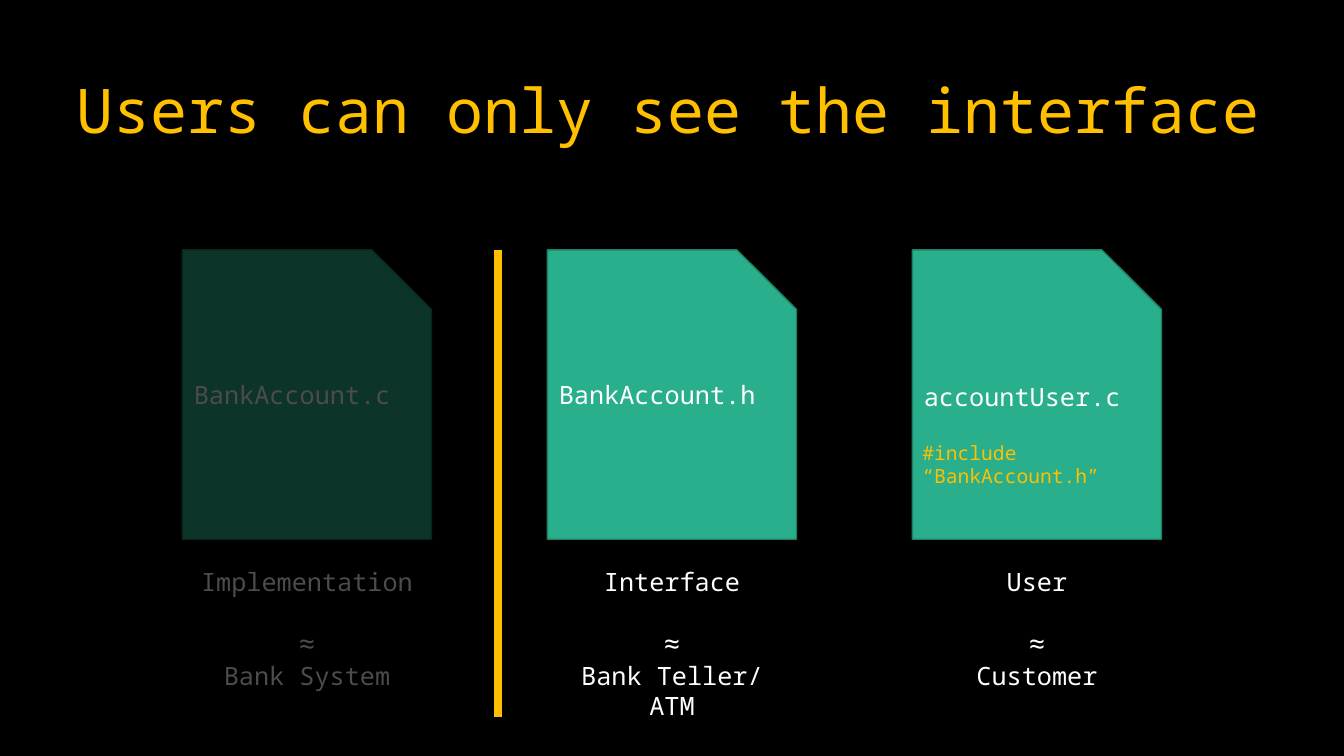
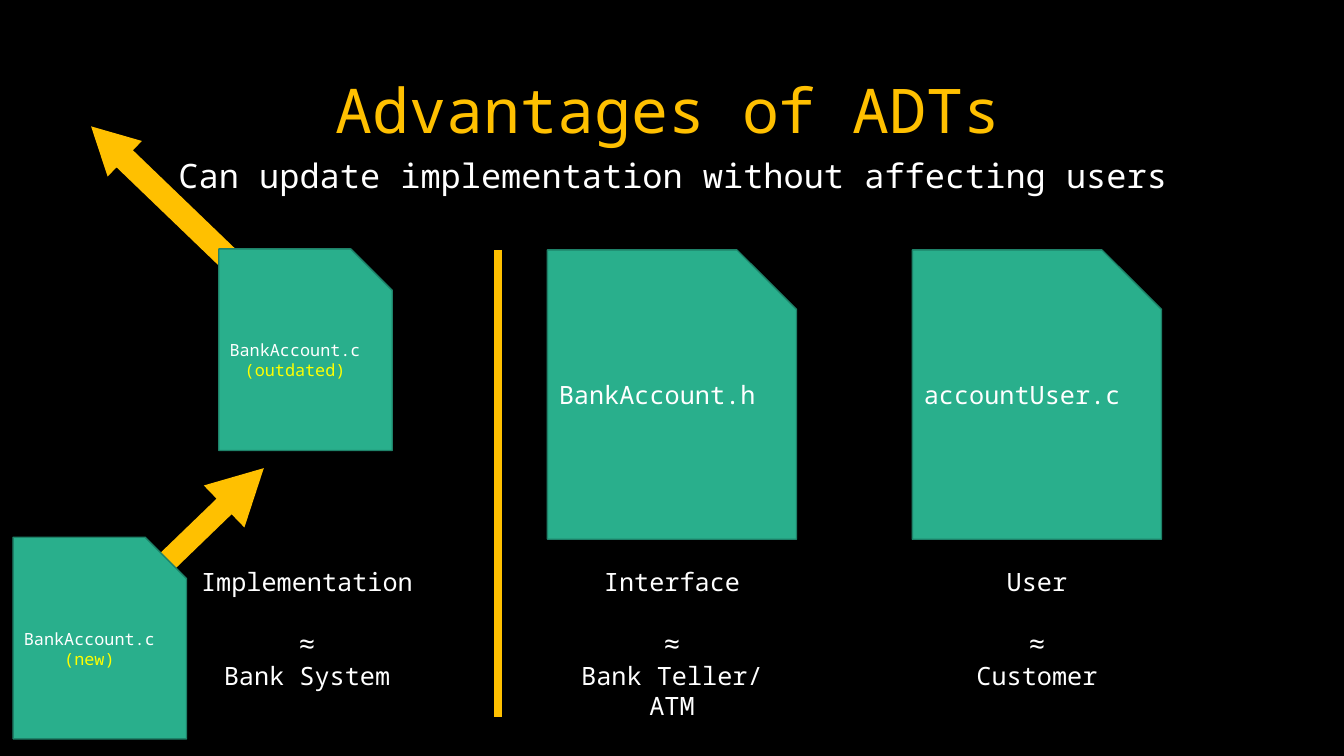
"""Build two slides on separating an interface from its implementation."""
from dataclasses import dataclass

from lxml import etree
from pptx import Presentation
from pptx.dml.color import RGBColor
from pptx.enum.shapes import MSO_CONNECTOR, MSO_SHAPE
from pptx.enum.text import MSO_ANCHOR, MSO_AUTO_SIZE, PP_ALIGN
from pptx.oxml.ns import qn
from pptx.util import Inches, Pt

LEFT, CENTER = PP_ALIGN.LEFT, PP_ALIGN.CENTER
TOP, MIDDLE = MSO_ANCHOR.TOP, MSO_ANCHOR.MIDDLE
FIXED = MSO_AUTO_SIZE.NONE
FILE, ARROW, RECTANGLE = MSO_SHAPE.SNIP_1_RECTANGLE, MSO_SHAPE.RIGHT_ARROW, MSO_SHAPE.RECTANGLE
STRAIGHT = MSO_CONNECTOR.STRAIGHT


@dataclass(frozen=True)
class Theme:
    font: str = "Noto Sans Mono"
    black: RGBColor = RGBColor(0, 0, 0)
    white: RGBColor = RGBColor(255, 255, 255)
    amber: RGBColor = RGBColor.from_string("FFC000")
    yellow: RGBColor = RGBColor.from_string("FFFF00")
    green: RGBColor = RGBColor.from_string("29AF8C")
    edge: RGBColor = RGBColor.from_string("1E8168")
    title: Pt = Pt(44)
    subtitle: Pt = Pt(24)
    sign: Pt = Pt(20)
    label: Pt = Pt(18)
    code: Pt = Pt(14)
    small: Pt = Pt(12)


theme = Theme()
COLUMN, GAP, MARGIN = 2.47, 1.15, 1.81
FILE_TOP, FILE_HEIGHT = 2.48, 2.87
SMALL_WIDTH, SMALL_HEIGHT = 1.72, 2
LABEL_TOP, MEANING_TOP = 5.57, 6.17
WALL_BOTTOM = 7.11
lefts = [MARGIN + index * (COLUMN + GAP) for index in range(3)]
wall_left = lefts[1] - 0.49


def write(box, lines, anchor=TOP, **insets):
    """Fill a shape with (text, size, colour, paragraph format) lines."""
    frame = box.text_frame
    settings = {"word_wrap": True, "auto_size": FIXED, "vertical_anchor": anchor, **insets}
    for name, value in settings.items():
        setattr(frame, name, value)
    for index, (text, size, color, layout) in enumerate(lines):
        para = frame.paragraphs[0] if index == 0 else frame.add_paragraph()
        for name, value in {"alignment": CENTER, **layout}.items():
            setattr(para, name, value)
        span = para.add_run()
        span.text = text
        for name, value in {"name": theme.font, "size": size}.items():
            setattr(span.font, name, value)
        span.font.color.rgb = color


def add_block(page, kind, place, fill, edge=None, adjustments=()):
    """Add a flat preset shape at a place given in inches."""
    block = page.shapes.add_shape(kind, *map(Inches, place))
    block.shadow.inherit = False
    block.fill.solid()
    block.fill.fore_color.rgb = fill
    if edge is None:
        block.line.fill.background()
    else:
        block.line.color.rgb = edge
        block.line.width = Pt(1)
    for index, value in enumerate(adjustments):
        block.adjustments[index] = value
    return block


deck = Presentation()
deck.slide_width, deck.slide_height = Inches(13.33), Inches(7.5)
background = deck.slide_master.background.fill
background.solid()
background.fore_color.rgb = theme.black
layout = deck.slide_layouts.get_by_name("Title Only")
title_place = dict(zip(("left", "top", "width", "height"), map(Inches, (0.36, 0.4, 12.54, 1.45))))
for name, value in title_place.items():
    setattr(layout.placeholders[0], name, value)

titles = ["Users can only see the interface", "Advantages of ADTs"]
columns = [
    ("BankAccount.c", "Implementation", ["Bank System"]),
    ("BankAccount.h", "Interface", ["Bank Teller/", "ATM"]),
    ("accountUser.c", "User", ["Customer"]),
]
include = ("#include “BankAccount.h”", theme.code, theme.amber, {"alignment": LEFT})
arrows = [
    ((0.82, 5.08, 2.09, 0.58), 316, (0.37, 0.944)),
    ((0.54, 1.91, 2.6, 0.49), 223.9, (0.479, 0.946)),
]
versions = [(2.17, 2.47, "(outdated)"), (0.13, 5.33, "(new)")]

for title in titles:
    page = deck.slides.add_slide(layout)
    updating = title == titles[1]
    write(page.shapes.title, [(title, theme.title, theme.amber, {"line_spacing": 0.9})], MIDDLE)

    if updating:
        for place, angle, adjustments in arrows:
            arrow = add_block(page, ARROW, place, theme.amber, adjustments=adjustments)
            arrow.rotation = angle
        subtitle = page.shapes.add_textbox(*map(Inches, (1.58, 1.49, 10.18, 0.5)))
        write(subtitle, [("Can update implementation without affecting users",
                          theme.subtitle, theme.white, {})])

    for left, (file_name, role, meaning) in zip(lefts, columns):
        if not (updating and role == "Implementation"):
            place = (left, FILE_TOP, COLUMN, FILE_HEIGHT)
            file = add_block(page, FILE, place, theme.green, theme.edge, (0, 0.239)[1:])
            if role == "User" and not updating:
                heading = (file_name, theme.label, theme.white, {"space_after": Pt(20.5)})
                write(file, [heading, include], MIDDLE, margin_top=Inches(0.55))
            else:
                write(file, [(file_name, theme.label, theme.white, {})], MIDDLE,
                      margin_bottom=Inches(0.35))
        label = page.shapes.add_textbox(*map(Inches, (left, LABEL_TOP, COLUMN, 0.4)))
        write(label, [(role, theme.label, theme.white, {})])
        height = 0.44 + 0.3 * len(meaning)
        analogy = page.shapes.add_textbox(*map(Inches, (left, MEANING_TOP, COLUMN, height)))
        write(analogy, [("≈", theme.sign, theme.white, {})]
              + [(text, theme.label, theme.white, {}) for text in meaning])

    if updating:
        for left, top, status in versions:
            place = (left, top, SMALL_WIDTH, SMALL_HEIGHT)
            file = add_block(page, FILE, place, theme.green, theme.edge, (0.239,))
            write(file, [(columns[0][0], theme.small, theme.white, {}),
                         (status, theme.small, theme.yellow, {})], MIDDLE)
    else:
        veil = add_block(page, RECTANGLE, (1.27, 2, 3.56, 5.5), theme.black)
        shade = next(veil.element.spPr.iter(qn("a:srgbClr")))
        etree.SubElement(shade, qn("a:alpha"), val="70000")

    ends = (wall_left, FILE_TOP, wall_left, WALL_BOTTOM)
    wall = page.shapes.add_connector(STRAIGHT, *map(Inches, ends))
    wall.line.color.rgb = theme.amber
    wall.line.width = Pt(6)
    etree.SubElement(wall.element.spPr, qn("a:effectLst"))

deck.save("out.pptx")
